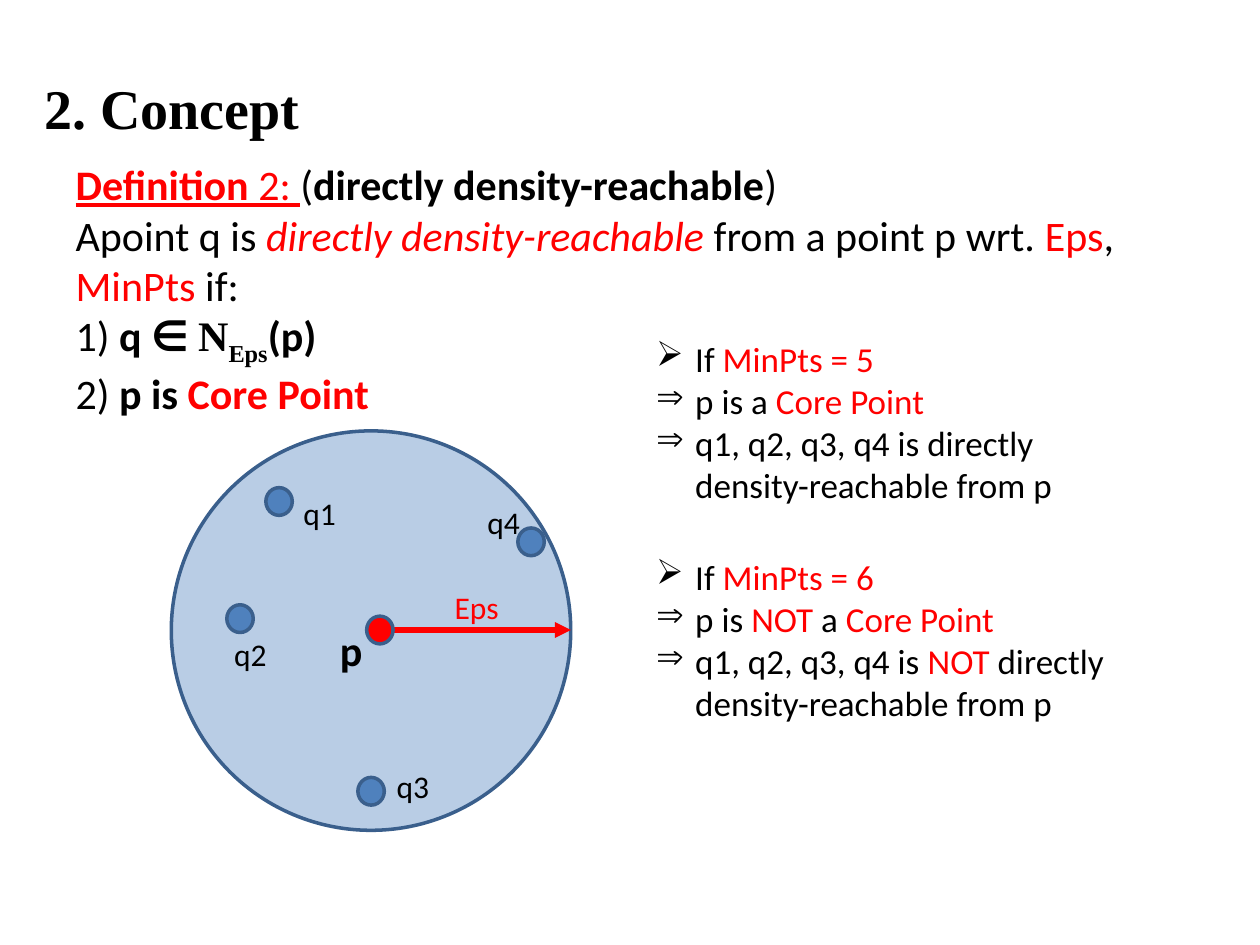
"""Builds the slide that defines directly density-reachable points."""
from dataclasses import dataclass

from lxml import etree
from pptx import Presentation
from pptx import util as u
from pptx.dml.color import RGBColor
from pptx.enum import shapes, text
from pptx.oxml import ns


@dataclass(frozen=True)
class Theme:
    black: RGBColor = RGBColor.from_string("000000")
    accent: RGBColor = RGBColor.from_string("FF0000")
    region: RGBColor = RGBColor.from_string("B9CDE5")
    point: RGBColor = RGBColor.from_string("4F81BD")
    outline: RGBColor = RGBColor.from_string("3A5F8C")
    sans: str = "Calibri"
    serif: str = "Times New Roman"
    title: int = 32
    body: int = 24
    cases: int = 20
    label: int = 18


THEME = Theme()
DEFINITION = [
    [("Definition ", "red bold underline"), ("2: ", "red underline"), ("(", ""),
     ("directly density-reachable", "bold"), (")", "")],
    [("Apoint q is ", ""), ("directly density-reachable ", "red italic"),
     ("from a point p wrt. ", ""), ("Eps", "red"), (", ", ""),
     ("MinPts", "red"), (" if:", "")],
    [("1) ", ""), ("q ∈ ", "bold"), ("N", "bold serif"),
     ("Eps", "bold serif sub"), ("(p)", "bold")],
    [("2) ", ""), ("p is ", "bold"), ("Core Point", "bold red")],
]
FIVE_POINTS = [
    [("If ", ""), ("MinPts = 5", "red")],
    [("p is a ", ""), ("Core Point", "red")],
    [("q1, q2, q3, q4 is directly density-reachable from p", "")],
]
SIX_POINTS = [
    [("If ", ""), ("MinPts = 6", "red")],
    [("p is ", ""), ("NOT", "red"), (" a ", ""), ("Core Point", "red")],
    [("q1, q2, q3, q4 is ", ""), ("NOT", "red"),
     (" directly density-reachable from p", "")],
]
NEIGHBOURS = [
    ("q1", (2.11, 3.87), (2.31, 3.87)),
    ("q2", (1.8, 4.8), (1.76, 4.99)),
    ("q3", (2.84, 6.17), (3.05, 6.04)),
    ("q4", (4.11, 4.19), (3.77, 3.94)),
]


def place(shape, left, top, width, height):
    """Moves and sizes a shape, in inches."""
    shape.left, shape.top = u.Inches(left), u.Inches(top)
    shape.width, shape.height = u.Inches(width), u.Inches(height)


def set_bullet(paragraph, mark=None):
    """Gives a paragraph a hanging bullet, or none without a mark."""
    properties = paragraph._p.get_or_add_pPr()
    indent = u.Inches(0.31) if mark else 0
    properties.set("marL", str(indent))
    properties.set("indent", str(-indent))
    if mark:
        etree.SubElement(properties, ns.qn("a:buChar")).set("char", mark)
    else:
        etree.SubElement(properties, ns.qn("a:buNone"))


def add_run(paragraph, words, style):
    """Adds a run whose style is a list of words such as 'red bold'."""
    run = paragraph.add_run()
    run.text = words
    traits = style.split()
    if "red" in traits:
        run.font.color.rgb = THEME.accent
    if "bold" in traits:
        run.font.bold = True
    if "italic" in traits:
        run.font.italic = True
    if "underline" in traits:
        run.font.underline = True
    if "serif" in traits:
        run.font.name = THEME.serif
    if "sub" in traits:
        run.font._rPr.set("baseline", "-25000")


def write(frame, lines, size, marks=None, font=THEME.sans):
    """Fills a text frame with styled lines, bulleted by the given marks."""
    frame.word_wrap = True
    frame.auto_size = text.MSO_AUTO_SIZE.NONE
    for number, line in enumerate(lines):
        paragraph = frame.add_paragraph() if number else frame.paragraphs[0]
        paragraph.alignment = text.PP_ALIGN.LEFT
        paragraph.space_before = u.Pt(0)
        set_bullet(paragraph, marks[number] if marks else None)
        paragraph.font.size = u.Pt(size)
        paragraph.font.name = font
        paragraph.font.color.rgb = THEME.black
        for words, style in line:
            add_run(paragraph, words, style)


def add_text(parent, box, lines, size, marks=None):
    """Adds a text box to a slide or group."""
    textbox = parent.add_textbox(*map(u.Inches, box))
    write(textbox.text_frame, lines, size, marks)


def add_ellipse(parent, box, fill):
    """Adds an outlined ellipse."""
    ellipse = parent.add_shape(shapes.MSO_SHAPE.OVAL, *map(u.Inches, box))
    ellipse.shadow.inherit = False
    ellipse.fill.solid()
    ellipse.fill.fore_color.rgb = fill
    ellipse.line.color.rgb = THEME.outline
    ellipse.line.width = u.Pt(2)


def add_radius(parent, start, end):
    """Adds the arrow from the core point to the edge of its region."""
    radius = parent.add_connector(
        shapes.MSO_CONNECTOR.STRAIGHT, *map(u.Inches, start + end))
    radius.line.color.rgb = THEME.accent
    radius.line.width = u.Pt(3)
    line = radius.line._get_or_add_ln()
    etree.SubElement(line, ns.qn("a:tailEnd")).set("type", "triangle")
    etree.SubElement(radius._element.spPr, ns.qn("a:effectLst"))


def add_neighbourhood(slide):
    """Draws the Eps region round p with its neighbours."""
    diagram = slide.shapes.add_group_shape().shapes
    dot, label = (0.21, 0.22), (0.56, 0.4)
    add_ellipse(diagram, (1.36, 3.42, 3.17, 3.17), THEME.region)
    add_radius(diagram, (3.07, 5), (4.53, 5))
    add_text(diagram, (2.6, 4.91, 0.46, 0.5), [[("p", "bold")]], THEME.body)
    for name, dot_corner, label_corner in NEIGHBOURS:
        add_ellipse(diagram, dot_corner + dot, THEME.point)
        add_text(diagram, label_corner + label, [[(name, "")]], THEME.label)
    add_text(diagram, (3.51, 4.62) + label, [[("Eps", "red")]], THEME.label)
    add_ellipse(diagram, (2.91, 4.89) + dot, THEME.accent)


def fill_title(title):
    """Places and writes the slide title."""
    place(title, 0.35, 0.58, 9.3, 0.54)
    frame = title.text_frame
    frame.margin_left = frame.margin_right = 0
    frame.margin_top = frame.margin_bottom = 0
    write(frame, [[("2. Concept", "bold")]], THEME.title, font=THEME.serif)


def main():
    """Builds and saves the slide."""
    deck = Presentation()
    deck.slide_width, deck.slide_height = u.Inches(10), u.Inches(7.5)
    slide = deck.slides.add_slide(deck.slide_layouts[1])
    fill_title(slide.shapes.title)
    definition = slide.placeholders[1]
    place(definition, 0.5, 1.21, 9.15, 2.12)
    write(definition.text_frame, DEFINITION, THEME.body)
    add_neighbourhood(slide)
    add_text(slide.shapes, (5.11, 2.63, 3.87, 1.78), FIVE_POINTS, THEME.cases, "➢⇒⇒")
    add_text(slide.shapes, (5.11, 4.36, 4.03, 1.78), SIX_POINTS, THEME.cases, "➢⇒⇒")
    deck.save("out.pptx")


if __name__ == "__main__":
    main()
